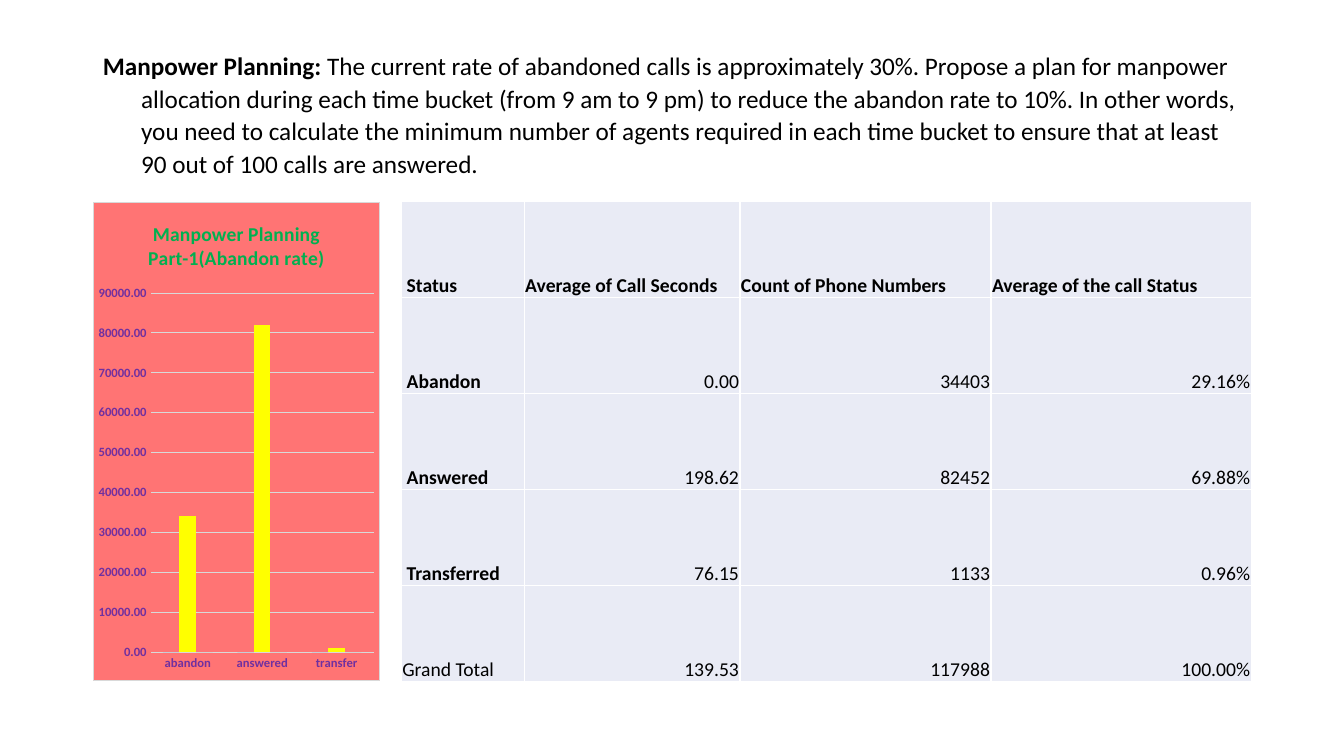
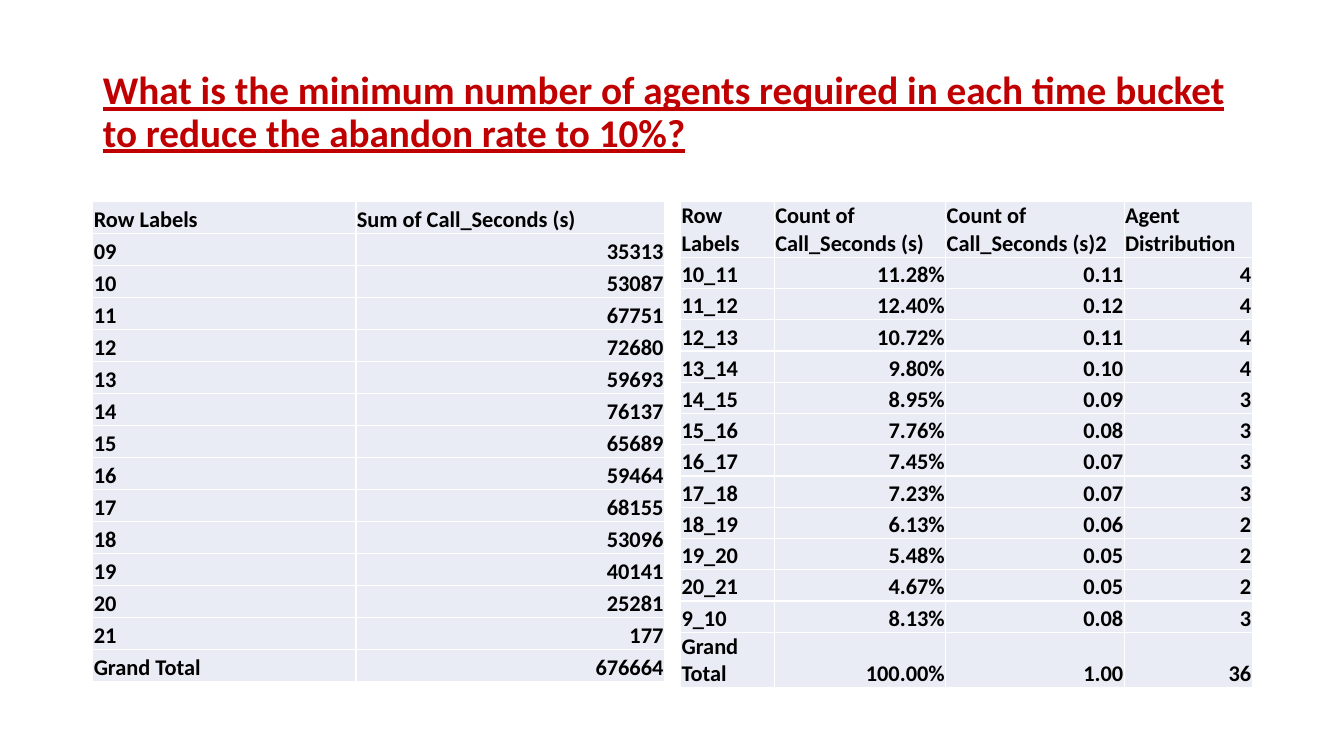
"""Build two slides on call-centre manpower planning."""
from dataclasses import dataclass
from typing import Any, Optional

from lxml.etree import SubElement
from pptx import Presentation
from pptx.chart.data import CategoryChartData
from pptx.dml.color import RGBColor
from pptx.enum.chart import XL_CHART_TYPE, XL_TICK_MARK
from pptx.enum.text import MSO_ANCHOR, MSO_AUTO_SIZE, PP_ALIGN
from pptx.oxml import parse_xml
from pptx.oxml.ns import nsdecls, qn
from pptx.slide import Slide
from pptx.util import Inches, Pt

COLORS = {
    "text": "000000",
    "question": "C00000",
    "cell": "E9EBF5",
    "border": "FFFFFF",
    "chart": "FF7474",
    "grid": "D9D9D9",
    "axis": "7030A0",
    "chart_title": "00B050",
    "seconds": "4472C4",
    "calls": "FFFF00",
    "share": "A5A5A5",
}
FONT = "Calibri"
LEFT, TOP, BODY_HEIGHT = 0.92, 2, 4.76
CELL_FORMAT = {
    "vertical_anchor": MSO_ANCHOR.BOTTOM,
    "margin_left": Inches(0.01),
    "margin_right": Inches(0.01),
    "margin_top": Inches(0.01),
    "margin_bottom": 0,
}


@dataclass(frozen=True)
class TitleRun:
    text: str
    size: float
    color: str = "text"
    bold: bool = True
    underline: bool = False


@dataclass(frozen=True)
class TableBlock:
    left: float
    widths: list[float]
    rows: list[list[str]]
    size: float
    plain_total: bool = False
    row_heights: Optional[list[float]] = None


@dataclass(frozen=True)
class ChartSeries:
    name: str
    values: list[float]
    color: str


def apply_format(target: Any, values: dict[str, Any]) -> None:
    for name, value in values.items():
        setattr(target, name, value)


def format_font(font: Any, size: float, color: str, bold: bool, underline: bool = False) -> None:
    apply_format(font, {"name": FONT, "size": Pt(size), "bold": bold, "underline": underline})
    font.color.rgb = RGBColor.from_string(COLORS[color])


def fill_solid(fill: Any, color: str) -> None:
    fill.solid()
    fill.fore_color.rgb = RGBColor.from_string(COLORS[color])


def add_title(slide: Slide, runs: list[TitleRun], spacing: dict[str, Any], hanging: float = 0) -> None:
    title = slide.shapes.title
    apply_format(title, {"left": Inches(LEFT), "top": Inches(0.4),
                         "width": Inches(11.5), "height": Inches(1.45)})
    apply_format(title.text_frame, {"vertical_anchor": MSO_ANCHOR.MIDDLE, "word_wrap": True,
                                    "auto_size": MSO_AUTO_SIZE.NONE})
    paragraph = title.text_frame.paragraphs[0]
    apply_format(paragraph, {"alignment": PP_ALIGN.LEFT, **spacing})
    if hanging:
        properties = paragraph._p.get_or_add_pPr()
        properties.set("marL", str(Inches(hanging)))
        properties.set("indent", str(-Inches(hanging)))
    for part in runs:
        run = paragraph.add_run()
        run.text = part.text
        format_font(run.font, part.size, part.color, part.bold, part.underline)


def add_borders(cell: Any) -> None:
    properties = cell._tc.get_or_add_tcPr()
    for side in ("a:lnL", "a:lnR", "a:lnT", "a:lnB"):
        line = SubElement(properties, qn(side), w=str(Pt(1)))
        SubElement(SubElement(line, qn("a:solidFill")), qn("a:srgbClr"), val=COLORS["border"])


def add_data_table(slide: Slide, block: TableBlock) -> None:
    table = slide.shapes.add_table(
        len(block.rows), len(block.widths), Inches(block.left), Inches(TOP),
        Inches(sum(block.widths)), Inches(BODY_HEIGHT)).table
    apply_format(table, {"first_row": False, "horz_banding": False})
    for column, width in zip(table.columns, block.widths):
        column.width = Inches(width)
    for row, height in zip(table.rows, block.row_heights or []):
        row.height = Inches(height)
    last_row = len(block.rows) - 1
    for row_index, values in enumerate(block.rows):
        for column_index, value in enumerate(values):
            cell = table.cell(row_index, column_index)
            apply_format(cell, CELL_FORMAT)
            add_borders(cell)
            fill_solid(cell.fill, "cell")
            paragraph = cell.text_frame.paragraphs[0]
            is_number = row_index > 0 and column_index > 0
            paragraph.alignment = PP_ALIGN.RIGHT if is_number else PP_ALIGN.LEFT
            run = paragraph.add_run()
            run.text = value
            is_plain = block.plain_total and (is_number or row_index == last_row)
            format_font(run.font, block.size, "text", not is_plain)


def style_chart_area(chart: Any) -> None:
    chart_part = chart.element.find(qn("c:chart"))
    chart_part.addnext(parse_xml(
        f'<c:spPr {nsdecls("c", "a")}>'
        f'<a:solidFill><a:srgbClr val="{COLORS["chart"]}"/></a:solidFill>'
        f'<a:ln w="{Pt(0.75)}"><a:solidFill><a:srgbClr val="{COLORS["grid"]}"/></a:solidFill></a:ln>'
        '</c:spPr>'))
    plot_area = chart_part.find(qn("c:plotArea"))
    for layout in plot_area.findall(qn("c:layout")):
        plot_area.remove(layout)
    layout = parse_xml(f'<c:layout {nsdecls("c")}/>')
    manual = SubElement(layout, qn("c:manualLayout"))
    settings = {"layoutTarget": "inner", "xMode": "edge", "yMode": "edge",
                "x": 0.2, "y": 0.19, "w": 0.78, "h": 0.75}
    for name, value in settings.items():
        SubElement(manual, qn(f"c:{name}"), val=str(value))
    plot_area.insert(0, layout)


def add_status_chart(slide: Slide, title: str, categories: list[str], series: list[ChartSeries]) -> None:
    data = CategoryChartData(number_format="0.00")
    data.categories = categories
    for entry in series:
        data.add_series(entry.name, entry.values)
    chart = slide.shapes.add_chart(
        XL_CHART_TYPE.COLUMN_CLUSTERED, Inches(LEFT), Inches(TOP),
        Inches(2.85), Inches(BODY_HEIGHT), data).chart
    format_font(chart.font, 10, "text", False)
    apply_format(chart, {"has_legend": False, "has_title": True})
    apply_format(chart.chart_title, {"include_in_layout": False})
    heading = chart.chart_title.text_frame.paragraphs[0].add_run()
    heading.text = title
    format_font(heading.font, 14, "chart_title", True)
    plot = chart.plots[0]
    apply_format(plot, {"gap_width": 150, "overlap": 0, "vary_by_categories": False})
    for bars, entry in zip(plot.series, series):
        bars.invert_if_negative = False
        fill_solid(bars.format.fill, entry.color)
    for axis in (chart.category_axis, chart.value_axis):
        apply_format(axis, {"major_tick_mark": XL_TICK_MARK.NONE, "minor_tick_mark": XL_TICK_MARK.NONE})
        format_font(axis.tick_labels.font, 9, "axis", True)
        axis.format.line.fill.background()
    apply_format(chart.value_axis, {"minimum_scale": 0, "maximum_scale": 90000,
                                    "major_unit": 10000, "has_major_gridlines": True})
    apply_format(chart.value_axis.tick_labels, {"number_format": "0.00", "number_format_is_linked": False})
    gridline = chart.value_axis.major_gridlines.format.line
    gridline.width = Pt(0.75)
    fill_solid(gridline.fill, "grid")
    style_chart_area(chart)


STATUS_TABLE = TableBlock(
    left=3.98, widths=[1.22, 2.14, 2.49, 2.58], size=14, plain_total=True,
    rows=[
        [" Status", "Average of Call Seconds", "Count of Phone Numbers", "Average of the call Status"],
        [" Abandon", "0.00", "34403", "29.16%"],
        [" Answered", "198.62", "82452", "69.88%"],
        [" Transferred", "76.15", "1133", "0.96%"],
        ["Grand Total", "139.53", "117988", "100.00%"],
    ])
SECONDS_TABLE = TableBlock(
    left=LEFT, widths=[2.61, 3.06], size=16,
    rows=[
        ["Row Labels", "Sum of Call_Seconds (s)"],
        ["09", "35313"],
        ["10", "53087"],
        ["11", "67751"],
        ["12", "72680"],
        ["13", "59693"],
        ["14", "76137"],
        ["15", "65689"],
        ["16", "59464"],
        ["17", "68155"],
        ["18", "53096"],
        ["19", "40141"],
        ["20", "25281"],
        ["21", "177"],
        ["Grand Total", "676664"],
    ])
AGENT_TABLE = TableBlock(
    left=6.75, widths=[0.93, 1.7, 1.77, 1.27], size=16,
    row_heights=[0.5, *[0.31] * 12, 0.5],
    rows=[
        ["Row Labels", "Count of Call_Seconds (s)", "Count of Call_Seconds (s)2", "Agent Distribution"],
        ["10_11", "11.28%", "0.11", "4"],
        ["11_12", "12.40%", "0.12", "4"],
        ["12_13", "10.72%", "0.11", "4"],
        ["13_14", "9.80%", "0.10", "4"],
        ["14_15", "8.95%", "0.09", "3"],
        ["15_16", "7.76%", "0.08", "3"],
        ["16_17", "7.45%", "0.07", "3"],
        ["17_18", "7.23%", "0.07", "3"],
        ["18_19", "6.13%", "0.06", "2"],
        ["19_20", "5.48%", "0.05", "2"],
        ["20_21", "4.67%", "0.05", "2"],
        ["9_10", "8.13%", "0.08", "3"],
        ["Grand Total", "100.00%", "1.00", "36"],
    ])
STATUS_SERIES = [
    ChartSeries("Series 1", [0, 0, 0], "seconds"),
    ChartSeries("Series 2", [34000, 82000, 1000], "calls"),
    ChartSeries("Series 3", [0, 0, 0], "share"),
]


def main() -> None:
    deck = Presentation()
    apply_format(deck, {"slide_width": Inches(13.33), "slide_height": Inches(7.5)})
    title_only = deck.slide_layouts[5]

    planning = deck.slides.add_slide(title_only)
    add_title(planning, [
        TitleRun("Manpower Planning:", 18),
        TitleRun(" The current rate of abandoned calls is approximately 30%. Propose a plan for manpower "
                 "allocation during each time bucket (from 9 am to 9 pm) to reduce the abandon rate to 10%. "
                 "In other words, you need to calculate the minimum number of agents required in each time "
                 "bucket to ensure that at least 90 out of 100 calls are answered.", 18, bold=False),
    ], {"line_spacing": 1.07, "space_after": Pt(8)}, hanging=0.38)
    add_data_table(planning, STATUS_TABLE)
    add_status_chart(planning, "Manpower Planning Part-1(Abandon rate)",
                     ["abandon", "answered", "transfer"], STATUS_SERIES)

    agents = deck.slides.add_slide(title_only)
    add_title(agents, [
        TitleRun("What is the minimum number of agents required in each time bucket "
                 "to reduce the abandon rate to 10%?", 28, "question", underline=True),
    ], {"line_spacing": 0.9})
    for block in (SECONDS_TABLE, AGENT_TABLE):
        add_data_table(agents, block)

    deck.save("out.pptx")


if __name__ == "__main__":
    main()
